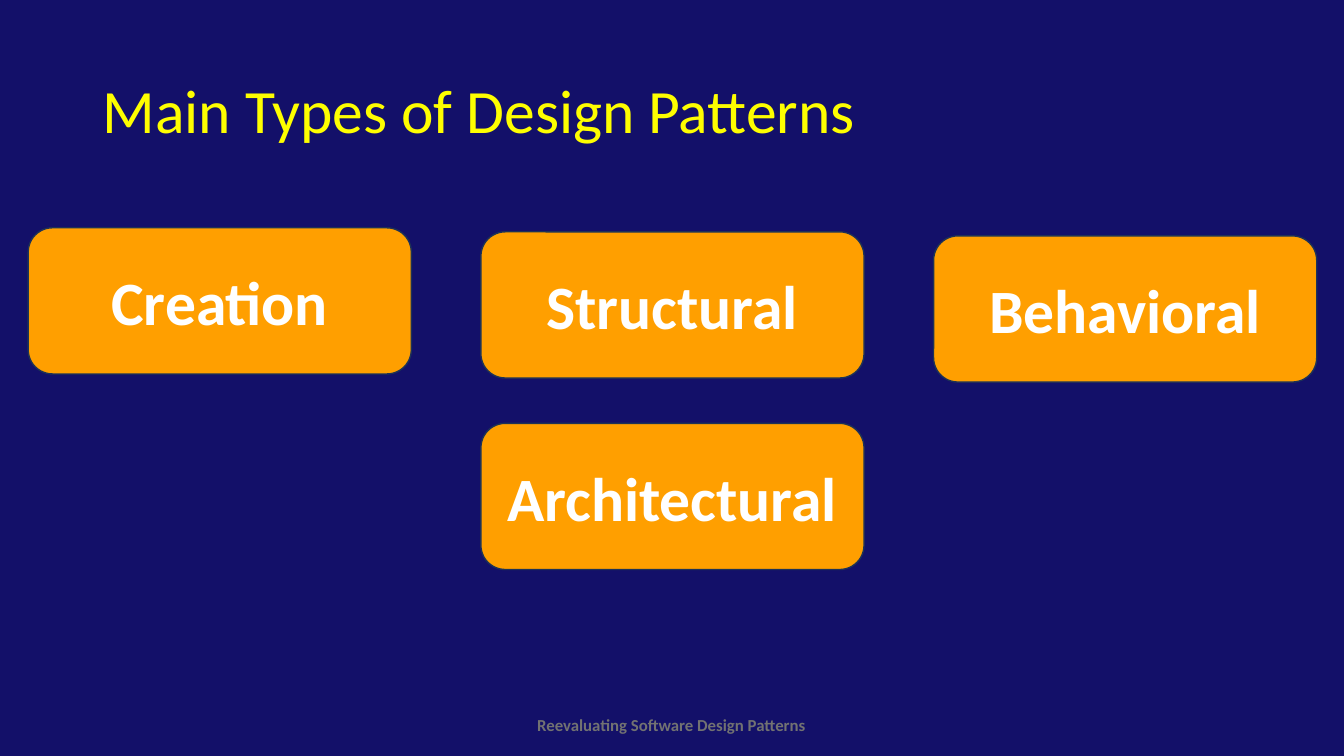
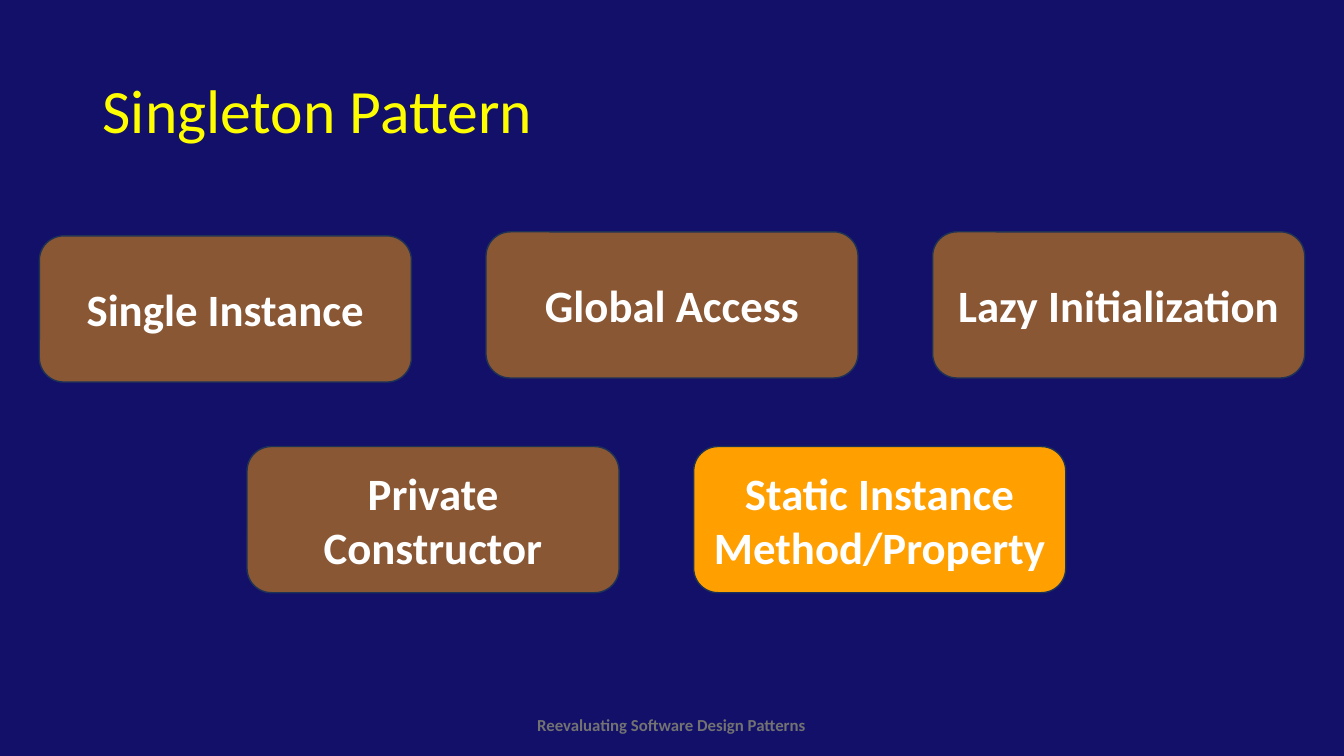
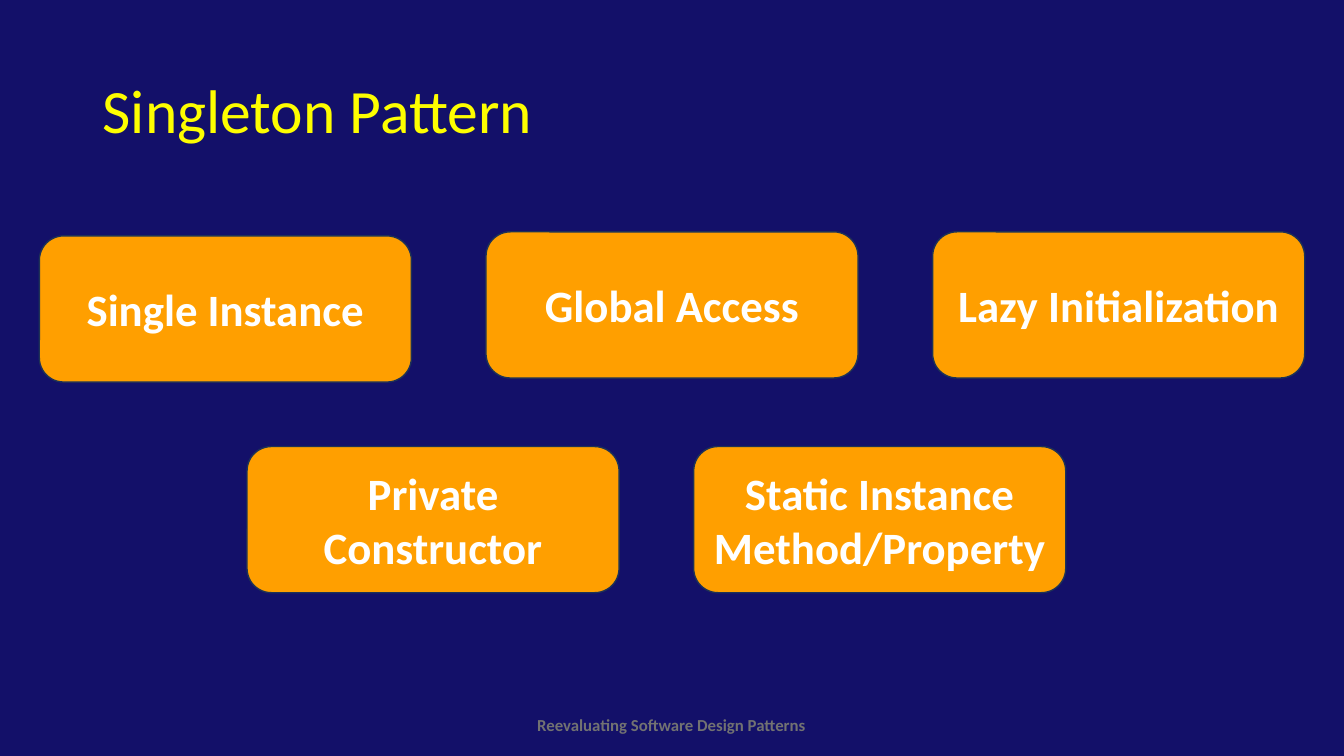
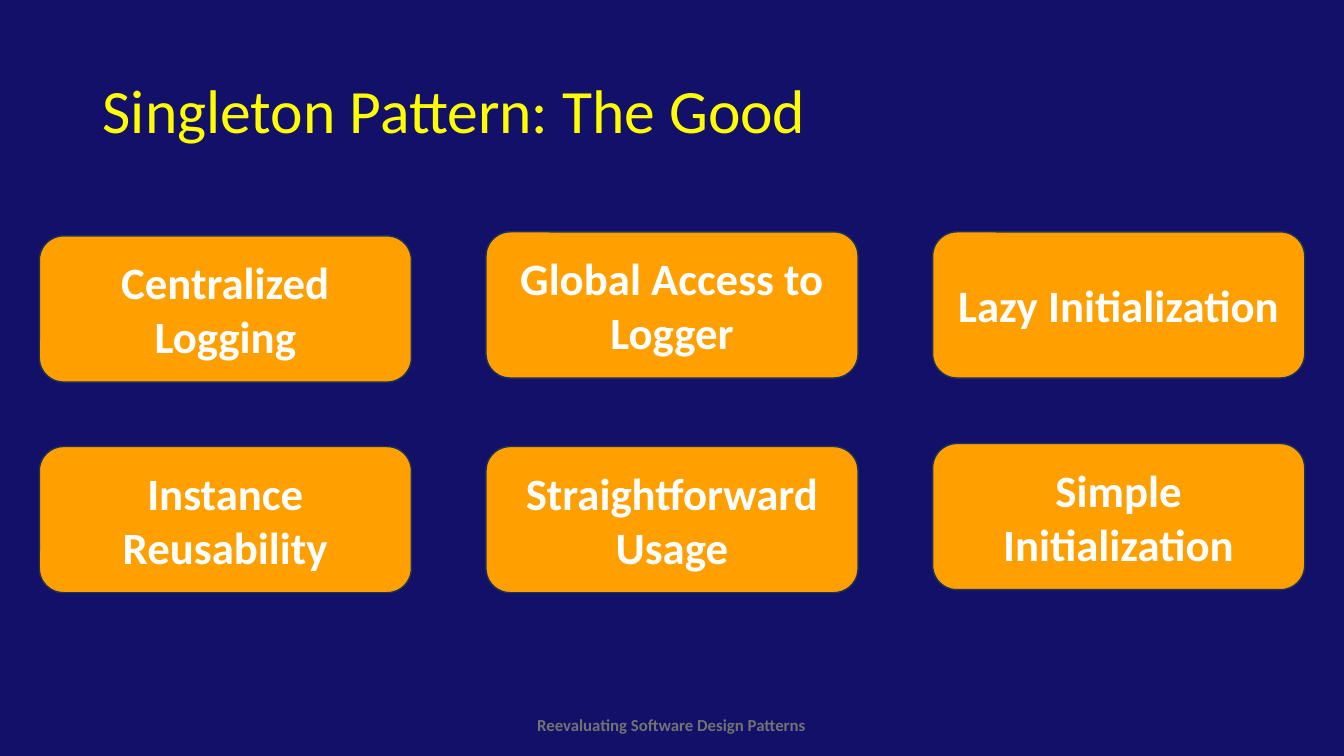
from lxml.etree import SubElement
from pptx import Presentation
from pptx.dml.color import RGBColor
from pptx.enum.shapes import MSO_SHAPE
from pptx.enum.text import MSO_ANCHOR as Anchor, MSO_AUTO_SIZE as AutoSize, PP_ALIGN as Align
from pptx.oxml.ns import qn
from pptx.util import Inches, Pt


def rgb(code):
    return RGBColor.from_string(code)


class Deck:
    """Holds the style and the current slide, and draws each kind of element."""

    FONT = "Calibri"
    NAVY, YELLOW, ORANGE = "131069", "FEFE00", "FF9F00"
    OUTLINE, WHITE, GRAY = "1E3256", "FFFFFF", "727272"
    FOOTER = "Reevaluating Software Design Patterns"
    CARD_HEIGHT = 1.45

    def __init__(self):
        self.prs = Presentation()
        self.prs.slide_width, self.prs.slide_height = Inches(13.33), Inches(7.5)
        backdrop = self.prs.slide_master.background.fill
        backdrop.solid()
        backdrop.fore_color.rgb = rgb(self.NAVY)
        self.slide = None

    def add_text(self, frame, text, size, color, bold=False, align=Align.LEFT):
        paragraph = frame.paragraphs[0]
        paragraph.alignment = align
        run = paragraph.add_run()
        run.text = text
        run.font.name, run.font.size, run.font.bold = self.FONT, Pt(size), bold
        run.font.color.rgb = rgb(color)
        return paragraph

    def text_box(self, left, top, width, height):
        box = self.slide.shapes.add_textbox(
            Inches(left), Inches(top), Inches(width), Inches(height))
        return box.text_frame

    def start_slide(self, title):
        self.slide = self.prs.slides.add_slide(self.prs.slide_layouts[6])
        self.footer()
        self.title(title)

    def footer(self):
        frame = self.text_box(5.21, 7.04, 2.9, 0.3)
        frame.word_wrap = False
        frame.auto_size = AutoSize.SHAPE_TO_FIT_TEXT
        self.add_text(frame, self.FOOTER, 12, self.GRAY, bold=True, align=Align.CENTER)

    def title(self, text):
        frame = self.text_box(0.92, 0.4, 11.5, 1.45)
        frame.word_wrap = True
        frame.vertical_anchor = Anchor.MIDDLE
        self.add_text(frame, text, 44, self.YELLOW).line_spacing = 0.9

    def card(self, text, left, top, width, size, opacity=100):
        card = self.slide.shapes.add_shape(
            MSO_SHAPE.ROUNDED_RECTANGLE,
            Inches(left), Inches(top), Inches(width), Inches(self.CARD_HEIGHT))
        card.shadow.inherit = False
        card.fill.solid()
        card.fill.fore_color.rgb = rgb(self.ORANGE)
        if opacity < 100:
            color = card.element.spPr.find(qn("a:solidFill"))[0]
            SubElement(color, qn("a:alpha"), val=str(opacity * 1000))
        card.line.color.rgb = rgb(self.OUTLINE)
        card.line.width = Pt(1)
        frame = card.text_frame
        frame.word_wrap = True
        frame.vertical_anchor = Anchor.MIDDLE
        self.add_text(frame, text, size, self.WHITE, bold=True, align=Align.CENTER)

    def card_row(self, labels, left, tops, width=3.69, pitch=4.43, size=32, opacities=(100,) * 3):
        for column, (label, top, opacity) in enumerate(zip(labels, tops, opacities)):
            self.card(label, left + column * pitch, top, width, size, opacity)


def main():
    deck = Deck()
    upper_tops = (2.34, 2.3, 2.3)

    deck.start_slide("Main Types of Design Patterns")
    type_style = {"width": 3.8, "pitch": 4.49, "size": 44}
    deck.card_row(("Creation", "Structural", "Behavioral"), 0.28, (2.26, 2.3, 2.34), **type_style)
    deck.card_row(("Architectural",), 4.77, (4.2,), **type_style)

    traits = ("Single Instance", "Global Access", "Lazy Initialization")
    mechanics = ("Private Constructor", "Static Instance Method/Property")
    for trait_opacity in (50, 100):
        deck.start_slide("Singleton Pattern")
        deck.card_row(traits, 0.39, upper_tops, opacities=(trait_opacity,) * 3)
        deck.card_row(mechanics, 2.45, (4.43, 4.43), opacities=(trait_opacity, 100))

    deck.start_slide("Singleton Pattern: The Good")
    deck.card_row(("Centralized Logging", "Global Access to Logger", "Lazy Initialization"),
                  0.39, upper_tops)
    deck.card_row(("Instance Reusability", "Straightforward Usage", "Simple Initialization"),
                  0.39, (4.43, 4.43, 4.4))

    deck.prs.save("out.pptx")


if __name__ == "__main__":
    main()
